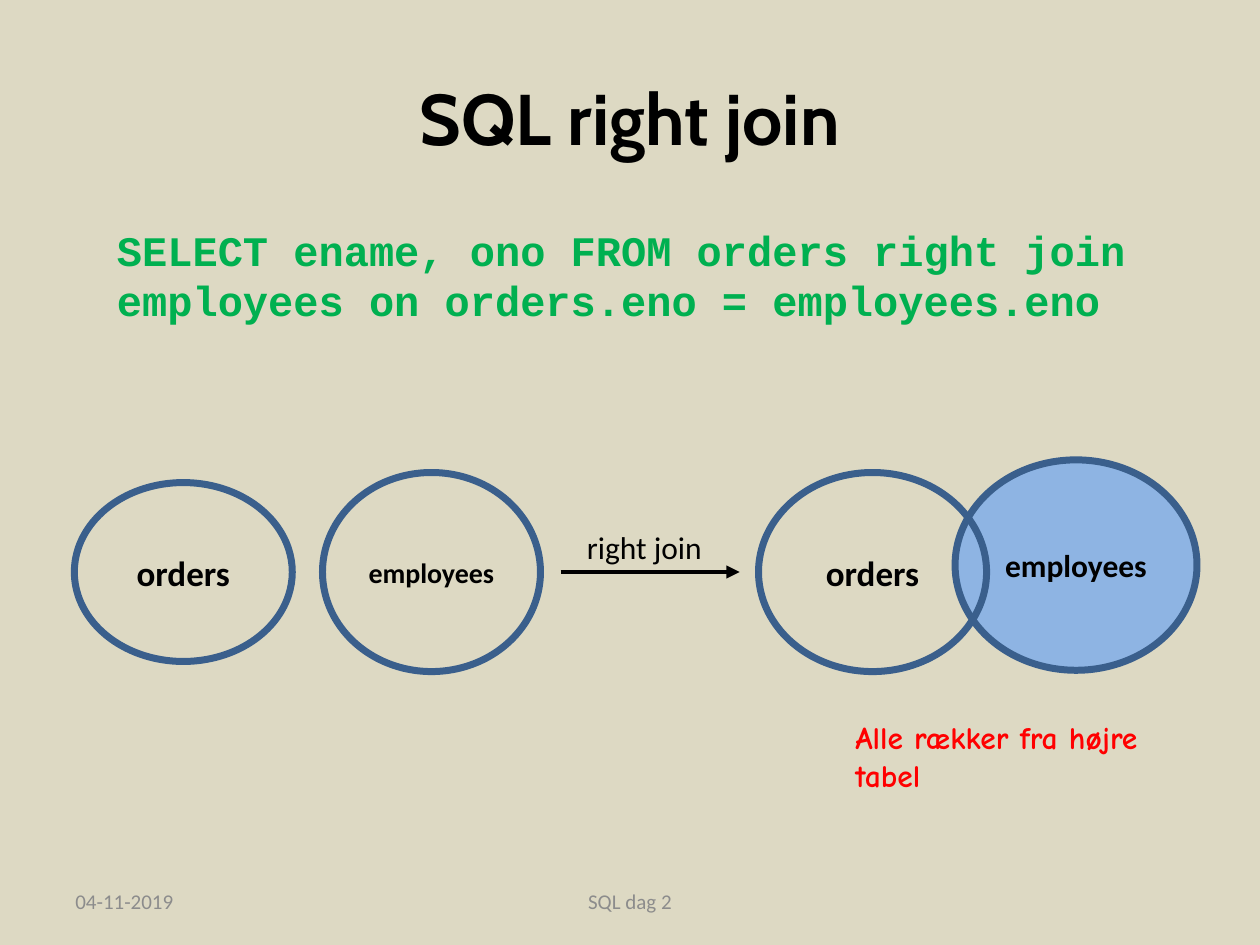
import dataclasses

import pptx
import pptx.dml.color
import pptx.enum.shapes
import pptx.enum.text
import pptx.oxml
import pptx.oxml.ns
import pptx.util
from pptx.util import Inches

ALIGN = pptx.enum.text.PP_ALIGN
ANCHOR = pptx.enum.text.MSO_ANCHOR


@dataclasses.dataclass(frozen=True)
class Theme:
    paper: str = "DDD9C3"
    ink: str = "000000"
    muted: str = "8C8C8C"
    code: str = "00B050"
    note: str = "FF0000"
    ring: str = "3A5F8C"
    selected: str = "8EB4E3"
    title_font: str = "Cabin"
    body_font: str = "Calibri"
    code_font: str = "Courier New"
    note_font: str = "Comic Neue"
    title_size: float = 41
    code_size: float = 24
    large: float = 20
    medium: float = 18
    compact: float = 16
    small: float = 12
    ring_width: float = 4
    arrow_width: float = 2.5


THEME = Theme()


def rgb(value):
    return pptx.dml.color.RGBColor.from_string(value)


def write(shape, text, size, color=THEME.ink, font=THEME.body_font, bold=False,
          align=ALIGN.LEFT, anchor=ANCHOR.TOP, before=0):
    frame = shape.text_frame
    frame.word_wrap = True
    frame.vertical_anchor = anchor
    para = frame.paragraphs[0]
    para.alignment = align
    para.space_before = pptx.util.Pt(before)
    span = para.add_run()
    span.text = text
    span.font.name = font
    span.font.size = pptx.util.Pt(size)
    span.font.bold = bold
    span.font.color.rgb = rgb(color)


def add_text(page, box, text, size, **style):
    shape = page.shapes.add_textbox(*map(Inches, box))
    write(shape, text, size, **style)


def add_set(page, box, name, size, fill=None):
    """One table drawn as a Venn circle."""
    oval = page.shapes.add_shape(pptx.enum.shapes.MSO_SHAPE.OVAL, *map(Inches, box))
    oval.shadow.inherit = False
    if fill:
        oval.fill.solid()
        oval.fill.fore_color.rgb = rgb(fill)
    else:
        oval.fill.background()
    oval.line.color.rgb = rgb(THEME.ring)
    oval.line.width = pptx.util.Pt(THEME.ring_width)
    write(oval, name, size, bold=True, align=ALIGN.CENTER, anchor=ANCHOR.MIDDLE)


def add_tables(page, box):
    """The two separate tables before the join."""
    left, top, width, height = box
    circle = 1.73
    add_set(page, (left, top + 0.08, circle, height - 0.16), "orders", THEME.large)
    add_set(page, (left + width - circle, top, circle, height),
            "employees", THEME.compact)


def add_join_arrow(page, box):
    """Label with an arrow along the bottom edge of the box."""
    left, top, width, height = box
    bottom = Inches(top + height)
    arrow = page.shapes.add_connector(
        pptx.enum.shapes.MSO_CONNECTOR.STRAIGHT,
        Inches(left), bottom, Inches(left + width), bottom)
    arrow.line.color.rgb = rgb(THEME.ink)
    arrow.line.width = pptx.util.Pt(THEME.arrow_width)
    tail = pptx.oxml.parse_xml(
        f'<a:tailEnd {pptx.oxml.ns.nsdecls("a")} type="triangle"/>')
    arrow.line._get_or_add_ln().append(tail)
    arrow._element.spPr.append(
        pptx.oxml.parse_xml(f'<a:effectLst {pptx.oxml.ns.nsdecls("a")}/>'))
    add_text(page, (left + 0.11, top, width - 0.11, height), "right join", THEME.medium)


def add_result(page, box):
    """Overlapping tables, the right one selected, with a note below."""
    left, top, width, height = box
    add_set(page, (left + width - 1.92, top, 1.92, 1.67),
            "employees", THEME.medium, THEME.selected)
    add_set(page, (left, top + 0.1, 1.81, 1.58), "orders", THEME.large)
    add_text(page, (left + 0.67, top + height - 0.71, 2.44, 0.71),
             "Alle rækker fra højre tabel", THEME.medium,
             color=THEME.note, font=THEME.note_font, bold=True)


def add_heading(page, box):
    add_text(page, box, "SQL right join", THEME.title_size, font=THEME.title_font,
             bold=True, align=ALIGN.CENTER, anchor=ANCHOR.MIDDLE)


def add_query(page, box):
    add_text(page, box,
             "SELECT ename, ono FROM orders right join "
             "employees on orders.eno = employees.eno",
             THEME.code_size, color=THEME.code, font=THEME.code_font, bold=True,
             before=THEME.code_size * 0.2)


def add_footer(page, box):
    left, top, width, height = box
    middle = 3.17
    style = dict(color=THEME.muted, anchor=ANCHOR.MIDDLE)
    add_text(page, (left, top, 2.33, height), "04-11-2019", THEME.small, **style)
    add_text(page, (left + (width - middle) / 2, top, middle, height),
             "SQL dag 2", THEME.small, align=ALIGN.CENTER, **style)


def main():
    deck = pptx.Presentation()
    deck.slide_width, deck.slide_height = Inches(10), Inches(7.5)
    page = deck.slides.add_slide(deck.slide_layouts[6])
    page.background.fill.solid()
    page.background.fill.fore_color.rgb = rgb(THEME.paper)

    # Heading and query
    add_heading(page, (0.5, 0.3, 9, 1.25))
    add_query(page, (0.83, 1.73, 8.74, 4.99))

    # Join diagram, left to right
    add_tables(page, (0.59, 3.75, 3.7, 1.58))
    add_join_arrow(page, (4.45, 4.14, 1.42, 0.4))
    add_result(page, (6.02, 3.65, 3.48, 2.71))

    # Footer
    add_footer(page, (0.5, 6.95, 9, 0.4))
    deck.save("out.pptx")


if __name__ == "__main__":
    main()
